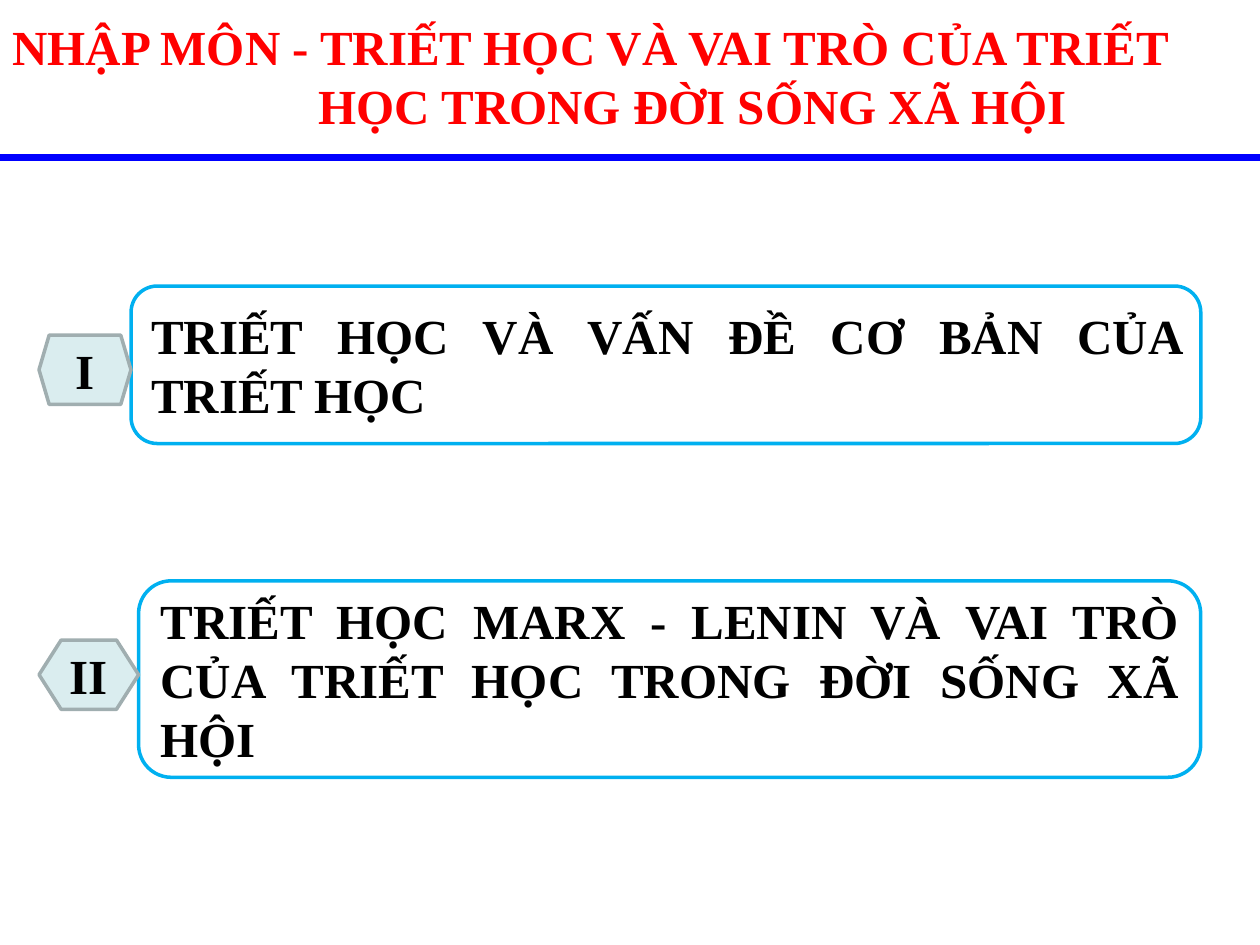
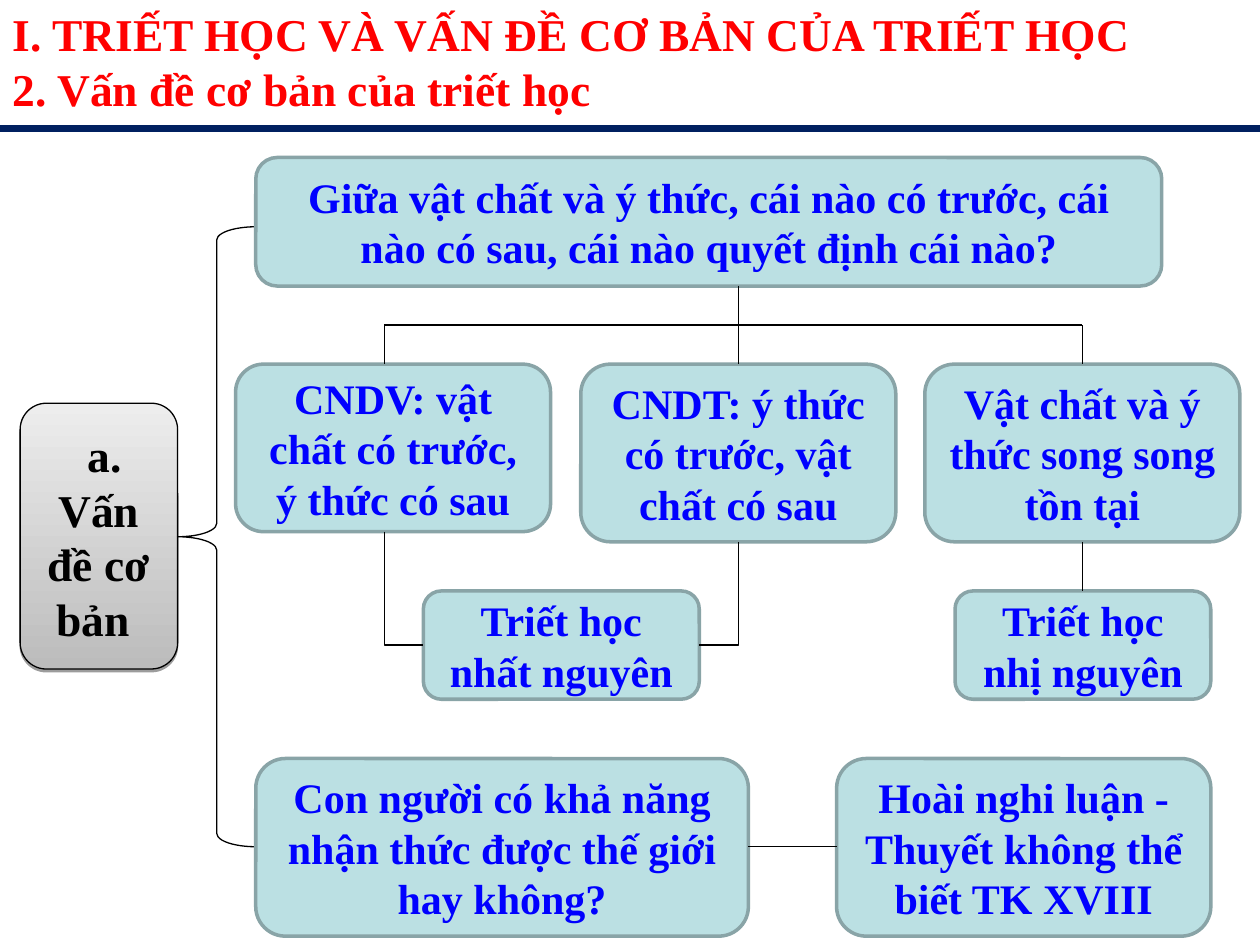
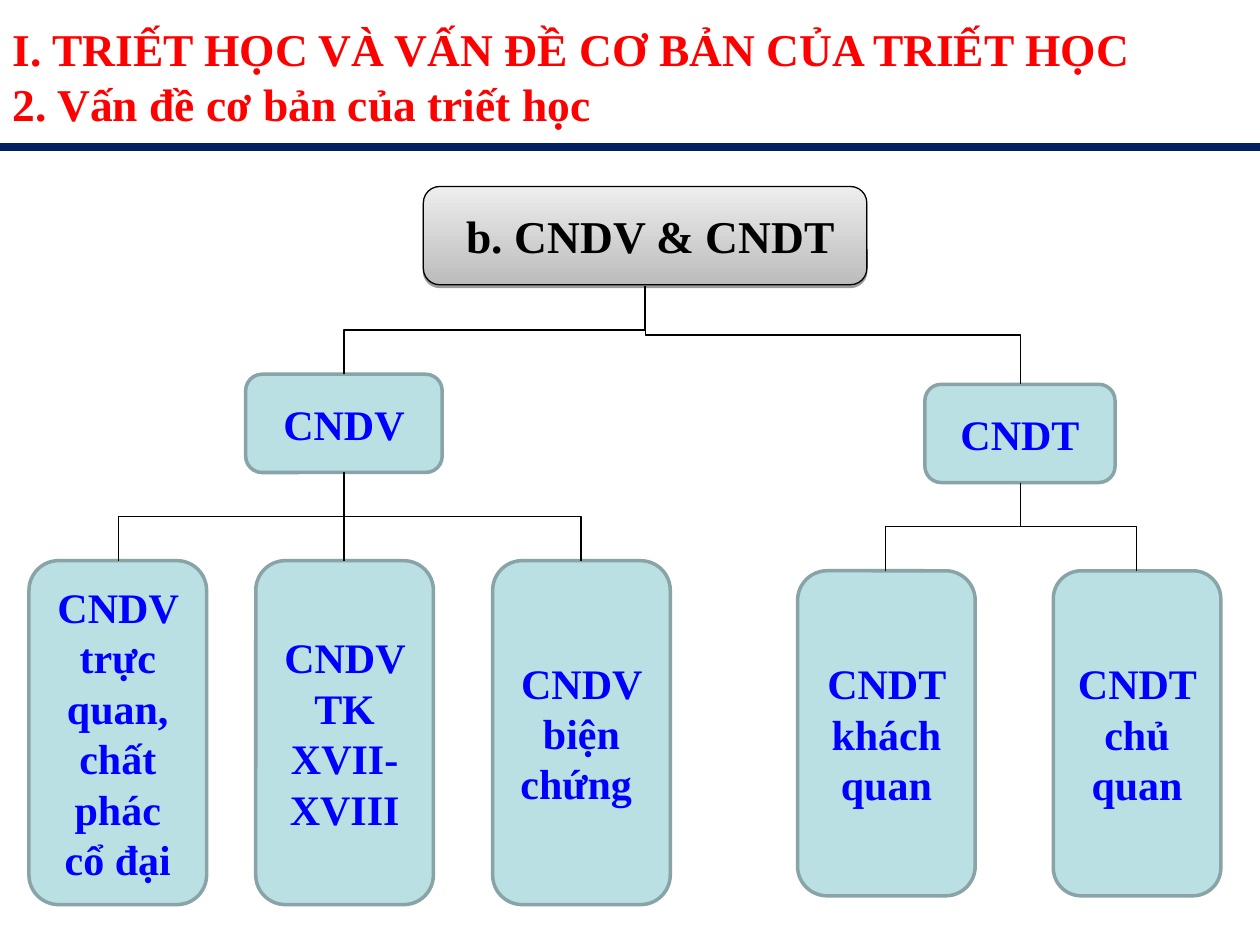
"""Builds three slides on philosophy and its basic question."""
from collections import namedtuple

from lxml import etree
from pptx import Presentation
from pptx.dml.color import RGBColor
from pptx.enum.shapes import MSO_CONNECTOR, MSO_SHAPE
from pptx.enum.text import MSO_ANCHOR, MSO_AUTO_SIZE, PP_ALIGN
from pptx.oxml import parse_xml
from pptx.oxml.ns import nsdecls, qn
from pptx.util import Inches, Pt

Look = namedtuple("Look", "fill edge width ink size align")
Theme = namedtuple("Theme", "font red blue navy black rule thin panel badge node head")

BLACK = RGBColor(0, 0, 0)
BLUE = RGBColor(0, 0, 255)
THEME = Theme(
    font="Times New Roman",
    red=RGBColor(255, 0, 0),
    blue=BLUE,
    navy=RGBColor(0x00, 0x20, 0x60),
    black=BLACK,
    rule=4.5,
    thin=0.75,
    panel=Look(["FFFFFF"], "00B0F0", 2, BLACK, 28, PP_ALIGN.JUSTIFY),
    badge=Look(["DAEDEF"], "A0AEB0", 2, BLACK, 28, PP_ALIGN.CENTER),
    node=Look(["BBE0E3"], "89A4A7", 2, BLUE, 24, PP_ALIGN.CENTER),
    head=Look(["BCBCBC", "EDEDED"], "000000", 0.75, BLACK, 26, PP_ALIGN.CENTER),
)


def box(slide, text, spot, look=THEME.node, kind=MSO_SHAPE.ROUNDED_RECTANGLE):
    shape = slide.shapes.add_shape(kind, *map(Inches, spot))
    shape.shadow.inherit = False
    if len(look.fill) == 1:
        shape.fill.solid()
        shape.fill.fore_color.rgb = RGBColor.from_string(look.fill[0])
    else:
        shape.fill.gradient()
        shape.fill.gradient_angle = 90
        for stop, tint in zip(shape.fill.gradient_stops, look.fill):
            stop.color.rgb = RGBColor.from_string(tint)
        shade = parse_xml(
            f'<a:outerShdw {nsdecls("a")} blurRad="0" dist="20320" dir="5400000" rotWithShape="0">'
            '<a:srgbClr val="000000"><a:alpha val="38000"/></a:srgbClr></a:outerShdw>')
        shape.element.spPr.find(qn("a:effectLst")).append(shade)
    shape.line.color.rgb = RGBColor.from_string(look.edge)
    shape.line.width = Pt(look.width)
    frame = shape.text_frame
    frame.text = text
    frame.word_wrap = kind != MSO_SHAPE.HEXAGON
    frame.vertical_anchor = MSO_ANCHOR.MIDDLE
    for para in frame.paragraphs:
        para.alignment = look.align
        for run in para.runs:
            run.font.name = THEME.font
            run.font.size = Pt(look.size)
            run.font.bold = True
            run.font.color.rgb = look.ink
    return shape


def link(slide, start, end, color=THEME.black, width=THEME.thin, preset="bentConnector3"):
    (x1, y1), (x2, y2) = start, end
    bent = x1 != x2 and y1 != y2
    if bent:
        midx, midy = (x1 + x2) / 2, (y1 + y2) / 2
        halfw, halfh = (y2 - y1) / 2, abs(x2 - x1) / 2
        ends = midx - halfw, midy - halfh, midx + halfw, midy + halfh
    else:
        ends = x1, y1, x2, y2
    kind = MSO_CONNECTOR.ELBOW if bent else MSO_CONNECTOR.STRAIGHT
    line = slide.shapes.add_connector(kind, *map(Inches, ends))
    line.line.color.rgb = color
    line.line.width = Pt(width)
    props = line._element.spPr
    etree.SubElement(props, qn("a:effectLst"))
    if bent:
        props.find(qn("a:prstGeom")).set("prst", preset)
        frame = props.find(qn("a:xfrm"))
        frame.set("rot", "5400000" if x2 < x1 else "16200000")
        if x2 > x1:
            frame.set("flipH", "1")


deck = Presentation()
deck.slide_width, deck.slide_height = Inches(10), Inches(7.5)

intro = "NHẬP MÔN - TRIẾT HỌC VÀ VAI TRÒ CỦA TRIẾT\nHỌC TRONG ĐỜI SỐNG XÃ HỘI"
topic = "I. TRIẾT HỌC VÀ VẤN ĐỀ CƠ BẢN CỦA TRIẾT HỌC\n2. Vấn đề cơ bản của triết học"
for text, top, high, size, rule, color in [
    (intro, 0.08, 1.04, 28, 1.25, THEME.blue),
    (topic, 0, 0.97, 26, 1.02, THEME.navy),
    (topic, 0.12, 0.97, 26, 1.17, THEME.navy),
]:
    slide = deck.slides.add_slide(deck.slide_layouts[5])
    title = slide.shapes.title
    title.left, title.top, title.width, title.height = map(Inches, (0, top, 10, high))
    frame = title.text_frame
    frame.text = text
    frame.word_wrap = True
    frame.auto_size = MSO_AUTO_SIZE.NONE
    frame.vertical_anchor = MSO_ANCHOR.TOP
    for para in frame.paragraphs:
        para.alignment = PP_ALIGN.JUSTIFY
        for run in para.runs:
            run.font.name = THEME.font
            run.font.size = Pt(size)
            run.font.bold = True
            run.font.color.rgb = THEME.red
    link(slide, (0, rule), (10, rule), color, THEME.rule)

first, second, third = deck.slides

indent = first.shapes.title.text_frame.paragraphs[1]._p.get_or_add_pPr()
indent.set("marL", str(Inches(2.43)))
indent.set("indent", "0")
for mark, text, left, top, high, badge, slant in [
    ("I", "TRIẾT HỌC VÀ VẤN ĐỀ CƠ BẢN CỦA TRIẾT HỌC", 1.04, 2.27, 1.25, 2.66, 0.147),
    ("II", "TRIẾT HỌC MARX - LENIN VÀ VAI TRÒ CỦA TRIẾT HỌC TRONG ĐỜI SỐNG XÃ HỘI",
     1.1, 4.61, 1.56, 5.08, 0.319),
]:
    box(first, text, (left, top, 9.53 - left, high), THEME.panel)
    spot = (0.31, badge, left - 0.31, 0.55)
    box(first, mark, spot, THEME.badge, MSO_SHAPE.HEXAGON).adjustments[0] = slant

box(second, " a. Vấn đề cơ bản ", (0.16, 3.2, 1.25, 2.11), THEME.head)
brace = second.shapes.add_shape(
    MSO_SHAPE.LEFT_BRACE, *map(Inches, (1.41, 1.8, 0.62, 4.92)))
brace.shadow.inherit = False
brace.adjustments[0] = 0.17
brace.fill.background()
brace.line.color.rgb = THEME.black
brace.line.width = Pt(THEME.thin)

for text, spot in [
    ("Giữa vật chất và ý thức, cái nào có trước, cái nào có sau, cái nào quyết định cái nào?",
     (2.03, 1.25, 7.19, 1.02)),
    ("CNDV: vật chất có trước, ý thức có sau", (1.87, 2.89, 2.5, 1.33)),
    ("CNDT: ý thức có trước, vật chất có sau", (4.61, 2.89, 2.5, 1.41)),
    ("Vật chất và ý thức song song tồn tại", (7.34, 2.89, 2.5, 1.41)),
    ("Triết học nhất nguyên", (3.36, 4.69, 2.19, 0.86)),
    ("Triết học nhị nguyên", (7.58, 4.69, 2.03, 0.86)),
    ("Con người có khả năng nhận thức được thế giới hay không?", (2.03, 6.02, 3.91, 1.41)),
    ("Hoài nghi luận - Thuyết không thể biết TK XVIII", (6.64, 6.02, 2.97, 1.41)),
]:
    box(second, text, spot)
for start, end in [
    ((5.86, 2.27), (5.86, 2.89)),
    ((3.05, 2.58), (8.59, 2.58)),
    ((3.05, 2.58), (3.05, 2.89)),
    ((8.59, 2.58), (8.59, 2.89)),
    ((3.05, 4.22), (3.36, 5.12)),
    ((5.86, 4.3), (5.55, 5.12)),
    ((8.59, 4.3), (8.59, 4.69)),
    ((5.94, 6.72), (6.64, 6.72)),
]:
    link(second, start, end, preset="bentConnector2")

box(third, " b. CNDV & CNDT", (3.36, 1.48, 3.52, 0.78), THEME.head)
for name, left, top, wide, mid, high, leaves in [
    ("CNDV", 1.95, 2.97, 1.56, 2.73, 2.73, [
        ("CNDV trực quan,\nchất phác cổ đại", 0.23, 1.41, 0.94),
        ("CNDV TK XVII-XVIII", 2.03, 1.41, 2.73),
        ("CNDV biện chứng ", 3.91, 1.41, 4.61)]),
    ("CNDT", 7.34, 3.05, 1.51, 8.1, 2.58, [
        ("CNDT khách quan", 6.33, 1.41, 7.03),
        ("CNDT chủ quan", 8.36, 1.33, 9.02)]),
]:
    box(third, name, (left, top, wide, 0.78))
    link(third, (5.12, 2.27), (mid, top))
    for text, side, span, stem in leaves:
        box(third, text, (side, top + 1.48, span, high))
        link(third, (mid, top + 0.78), (stem, top + 1.48))

deck.save("out.pptx")
